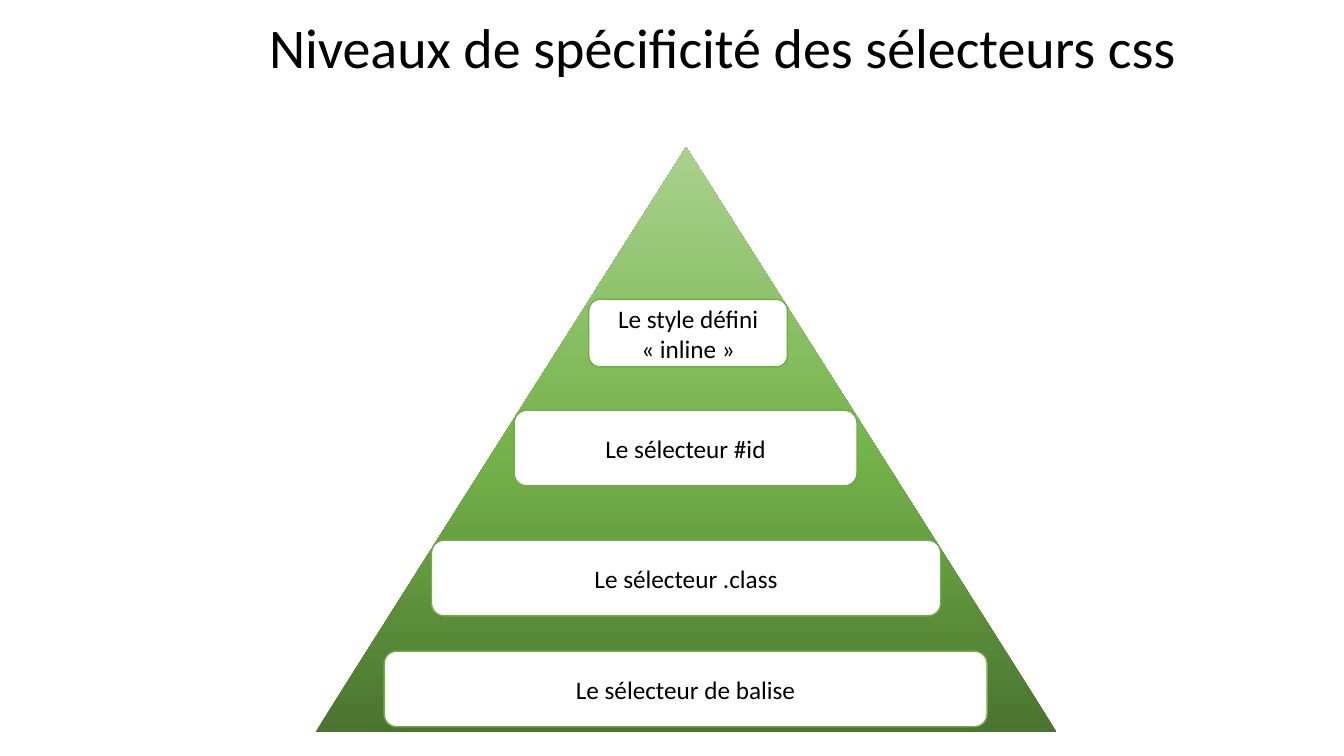
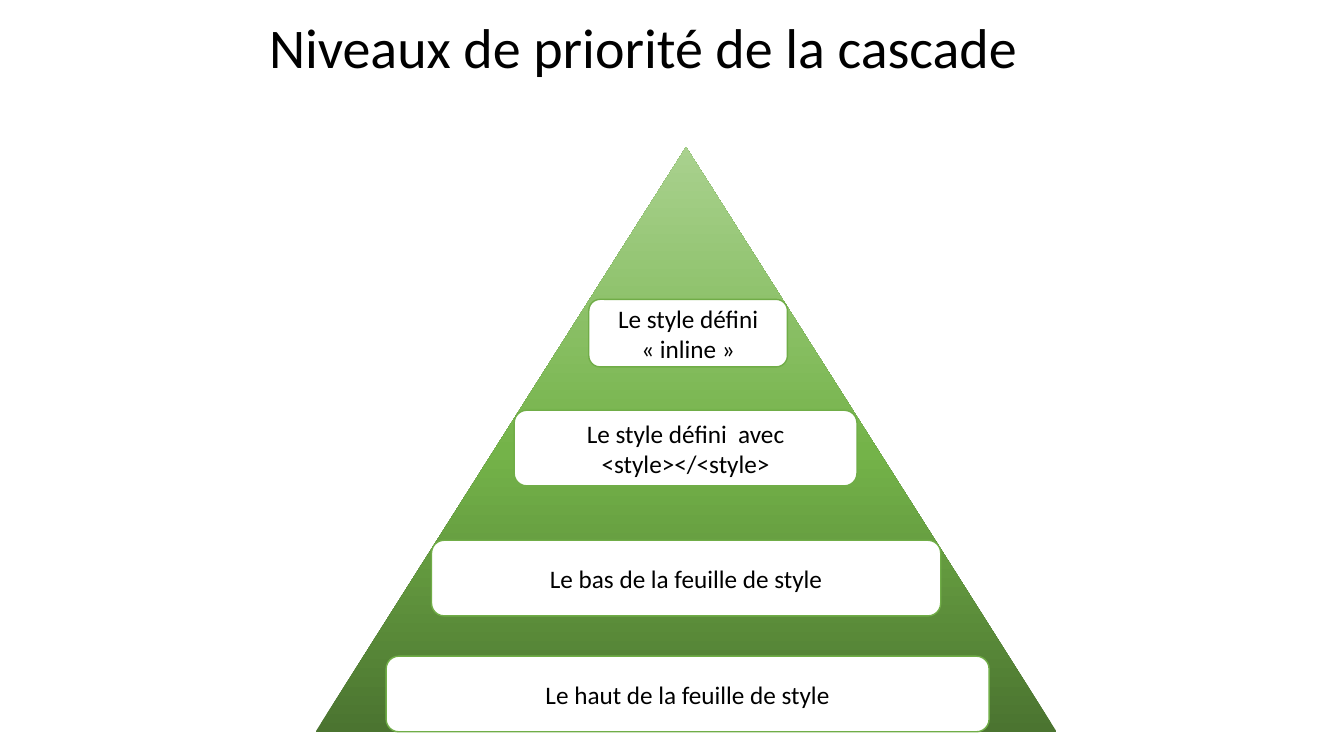
from copy import deepcopy

from pptx import Presentation
from pptx.dml.color import RGBColor
from pptx.enum.shapes import MSO_SHAPE
from pptx.enum.text import MSO_ANCHOR, PP_ALIGN
from pptx.oxml.ns import qn
from pptx.util import Inches, Pt

# Shared style
BLACK = RGBColor(0x00, 0x00, 0x00)
WHITE = RGBColor(0xFF, 0xFF, 0xFF)
GREEN = RGBColor(0x70, 0xAD, 0x47)
PYRAMID_STOPS = (
    (0, RGBColor(0x4B, 0x74, 0x30)),
    (0.48, RGBColor(0x74, 0xB3, 0x49)),
    (1, RGBColor(0xA9, 0xD1, 0x8E)),
)
TITLE_FONT = {"name": "Calibri", "size": Pt(40)}
LEVEL_FONT = {"name": "Calibri", "size": Pt(18)}

# Shared geometry in inches: left, top, width, height
TITLE_BOX = (2.57, 0.08, 10.76, 0.77)
PYRAMID_BOX = (3.13, 1.46, 7.35, 5.8)
UPPER_LEVELS = (
    (5.84, 2.97, 1.97, 0.67),
    (5.1, 4.07, 3.4, 0.75),
    (4.28, 5.36, 5.05, 0.75),
)

# Title, base level box, level labels from top to base
SLIDES = (
    (
        "Niveaux de spécificité des sélecteurs css",
        (3.81, 6.46, 5.98, 0.75),
        (
            "Le style défini «\u00a0inline\u00a0»",
            "Le sélecteur #id",
            "Le sélecteur .class",
            "Le sélecteur de balise",
        ),
    ),
    (
        "Niveaux de priorité de la cascade",
        (3.83, 6.51, 5.98, 0.75),
        (
            "Le style défini «\u00a0inline\u00a0»",
            "Le style défini  avec <style></<style>",
            "Le bas de la feuille de style",
            "Le haut de la feuille de style",
        ),
    ),
)


def write_text(shape, text, font_format, alignment):
    shape.text_frame.word_wrap = True
    paragraph = shape.text_frame.paragraphs[0]
    paragraph.alignment = alignment
    run = paragraph.add_run()
    run.text = text
    for attribute, value in font_format.items():
        setattr(run.font, attribute, value)
    run.font.color.rgb = BLACK


def add_title(slide, text):
    title = slide.shapes.add_textbox(*map(Inches, TITLE_BOX))
    write_text(title, text, TITLE_FONT, PP_ALIGN.LEFT)


def add_plain_shape(slide, kind, box):
    shape = slide.shapes.add_shape(kind, *map(Inches, box))
    shape.shadow.inherit = False
    return shape


def add_pyramid(slide):
    pyramid = add_plain_shape(slide, MSO_SHAPE.ISOSCELES_TRIANGLE, PYRAMID_BOX)
    pyramid.line.fill.background()
    pyramid.fill.gradient()
    pyramid.fill.gradient_angle = 90
    # The default gradient has two stops; a third needs XML
    stop_list = pyramid.element.spPr.find(".//" + qn("a:gsLst"))
    stop_list.append(deepcopy(stop_list[0]))
    for stop, (position, color) in zip(pyramid.fill.gradient_stops, PYRAMID_STOPS):
        stop.position = position
        stop.color.rgb = color


def add_level(slide, box, label):
    level = add_plain_shape(slide, MSO_SHAPE.ROUNDED_RECTANGLE, box)
    level.fill.solid()
    level.fill.fore_color.rgb = WHITE
    level.line.color.rgb = GREEN
    level.line.width = Pt(1)
    level.text_frame.vertical_anchor = MSO_ANCHOR.MIDDLE
    write_text(level, label, LEVEL_FONT, PP_ALIGN.CENTER)


def add_pyramid_slide(presentation, title, base_box, labels):
    slide = presentation.slides.add_slide(presentation.slide_layouts[6])
    add_pyramid(slide)
    for box, label in zip((*UPPER_LEVELS, base_box), labels):
        add_level(slide, box, label)
    add_title(slide, title)


def main():
    presentation = Presentation()
    presentation.slide_width = Inches(13.33)
    presentation.slide_height = Inches(7.5)
    for title, base_box, labels in SLIDES:
        add_pyramid_slide(presentation, title, base_box, labels)
    presentation.save("out.pptx")


main()
